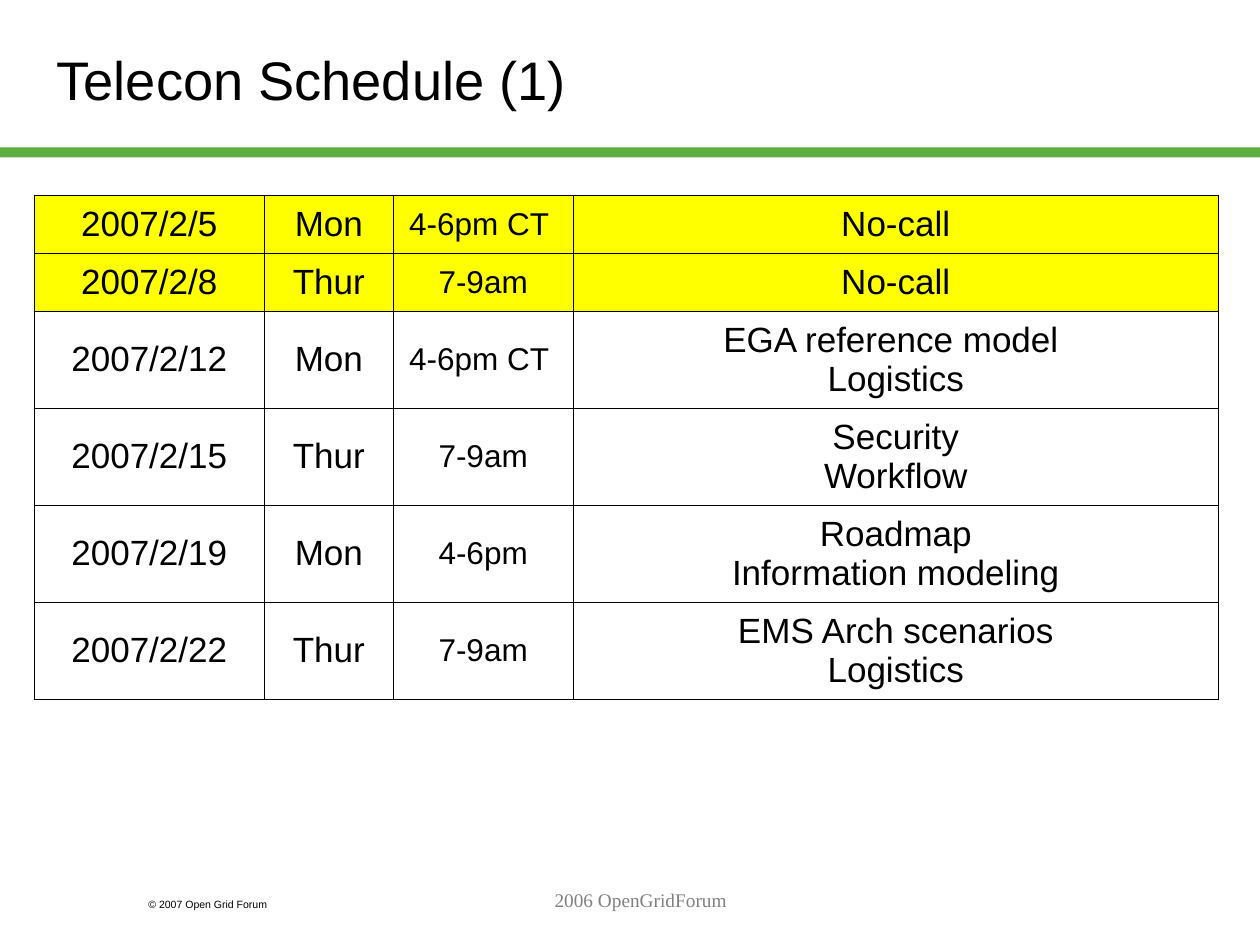
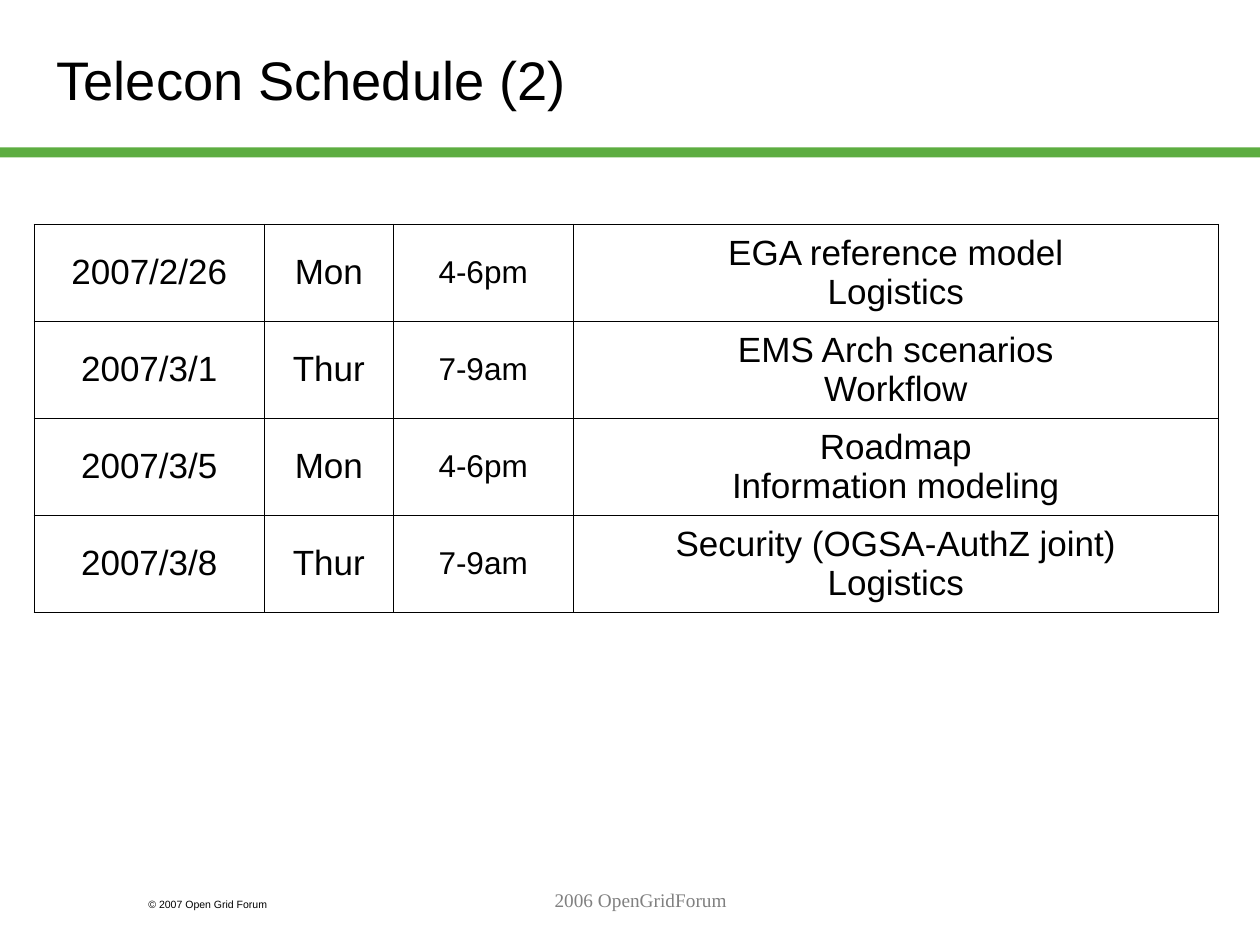
from dataclasses import dataclass

from lxml import etree
from pptx import Presentation
from pptx.dml.color import RGBColor
from pptx.enum.shapes import MSO_SHAPE
from pptx.enum.text import MSO_ANCHOR, MSO_AUTO_SIZE, PP_ALIGN
from pptx.oxml.ns import qn
from pptx.slide import Slide
from pptx.table import _Cell
from pptx.text.text import TextFrame
from pptx.util import Inches, Pt

RECTANGLE = MSO_SHAPE.RECTANGLE
LEFT, CENTER = PP_ALIGN.LEFT, PP_ALIGN.CENTER
TOP, MIDDLE = MSO_ANCHOR.TOP, MSO_ANCHOR.MIDDLE
NO_AUTOFIT = MSO_AUTO_SIZE.NONE


@dataclass(frozen=True)
class Theme:
    black: str = "000000"
    white: str = "FFFFFF"
    gray: str = "808080"
    green: str = "5DAD41"
    yellow: str = "FFFF00"
    sans: str = "Arial"
    serif: str = "Times New Roman"
    title_size: float = 31
    cell_size: float = 20
    time_size: float = 18
    footer_size: float = 11
    copyright_size: float = 6
    border_width: float = 0.45


@dataclass(frozen=True)
class Call:
    date: str
    day: str
    time: str
    topics: str
    cancelled: bool = False


@dataclass(frozen=True)
class Schedule:
    title: str
    table_top: float
    calls: tuple[Call, ...]


THEME = Theme()
TABLE_LEFT = 0.27
COLUMN_WIDTHS = (1.83, 1.02, 1.43, 5.12)
ONE_LINE_HEIGHT, TWO_LINE_HEIGHT = 0.46, 0.77

SCHEDULES = (
    Schedule("Telecon Schedule (1)", 1.55, (
        Call("2007/2/5", "Mon", "4-6pm CT ", "No-call", cancelled=True),
        Call("2007/2/8", "Thur", "7-9am", "No-call", cancelled=True),
        Call("2007/2/12", "Mon", "4-6pm CT ", "EGA reference model \nLogistics"),
        Call("2007/2/15", "Thur", "7-9am", "Security\nWorkflow"),
        Call("2007/2/19", "Mon", "4-6pm", "Roadmap\nInformation modeling"),
        Call("2007/2/22", "Thur", "7-9am", "EMS Arch scenarios\nLogistics"),
    )),
    Schedule("Telecon Schedule (2)", 1.78, (
        Call("2007/2/26", "Mon", "4-6pm", "EGA reference model\nLogistics"),
        Call("2007/3/1", "Thur", "7-9am", "EMS Arch scenarios\nWorkflow"),
        Call("2007/3/5", "Mon", "4-6pm", "Roadmap\nInformation modeling"),
        Call("2007/3/8", "Thur", "7-9am", "Security (OGSA-AuthZ joint)\nLogistics"),
    )),
)


def write_text(frame: TextFrame, text: str, *, size: float, font: str = THEME.sans,
               color: str = THEME.black, align: PP_ALIGN = LEFT) -> None:
    """Fill a text frame, one paragraph per line of text."""
    frame.word_wrap = True
    frame.text = text
    for paragraph in frame.paragraphs:
        paragraph.alignment = align
        paragraph.font.size = Pt(size)
        paragraph.font.name = font
        paragraph.font.color.rgb = RGBColor.from_string(color)


def add_label(slide: Slide, text: str, left: float, top: float, width: float,
              height: float, **text_format) -> None:
    box = slide.shapes.add_textbox(Inches(left), Inches(top), Inches(width), Inches(height))
    box.text_frame.vertical_anchor = TOP
    write_text(box.text_frame, text, **text_format)


def add_title(slide: Slide, text: str) -> None:
    title = slide.shapes.title
    title.left, title.top = Inches(0.35), Inches(0.17)
    title.width, title.height = Inches(8.9), Inches(0.91)
    title.text_frame.auto_size = NO_AUTOFIT
    title.text_frame.vertical_anchor = MIDDLE
    write_text(title.text_frame, text, size=THEME.title_size)


def add_frame(slide: Slide) -> None:
    """Draw the green band and the footers that every slide has."""
    band = slide.shapes.add_shape(RECTANGLE, Inches(0), Inches(1.17), Inches(10), Inches(0.08))
    band.shadow.inherit = False
    band.fill.solid()
    band.fill.fore_color.rgb = RGBColor.from_string(THEME.green)
    band.line.fill.background()
    add_label(slide, "© 2007 Open Grid Forum", 1.08, 7.08, 1.5, 0.2,
              size=THEME.copyright_size)
    add_label(slide, "2006 OpenGridForum", 2.17, 7, 5.83, 0.5, size=THEME.footer_size,
              font=THEME.serif, color=THEME.gray, align=CENTER)


def add_borders(cell: _Cell) -> None:
    properties = cell._tc.get_or_add_tcPr()
    for side in ("lnL", "lnR", "lnT", "lnB"):
        line = etree.SubElement(properties, qn(f"a:{side}"), w=str(Pt(THEME.border_width)))
        fill = etree.SubElement(line, qn("a:solidFill"))
        etree.SubElement(fill, qn("a:srgbClr"), val=THEME.black)


def add_schedule_table(slide: Slide, schedule: Schedule) -> None:
    heights = [TWO_LINE_HEIGHT if "\n" in call.topics else ONE_LINE_HEIGHT
               for call in schedule.calls]
    table = slide.shapes.add_table(
        len(heights), len(COLUMN_WIDTHS), Inches(TABLE_LEFT), Inches(schedule.table_top),
        Inches(sum(COLUMN_WIDTHS)), Inches(sum(heights))).table
    table.first_row = table.horz_banding = False
    for column, width in zip(table.columns, COLUMN_WIDTHS):
        column.width = Inches(width)
    for row, call, height in zip(table.rows, schedule.calls, heights):
        row.height = Inches(height)
        entries = ((call.date, THEME.cell_size), (call.day, THEME.cell_size),
                   (call.time, THEME.time_size), (call.topics, THEME.cell_size))
        for cell, (text, size) in zip(row.cells, entries):
            cell.vertical_anchor = MIDDLE
            add_borders(cell)  # borders come before the fill in the cell's XML
            cell.fill.solid()
            cell.fill.fore_color.rgb = RGBColor.from_string(
                THEME.yellow if call.cancelled else THEME.white)
            write_text(cell.text_frame, text, size=size, align=CENTER)


def main() -> None:
    presentation = Presentation()
    presentation.slide_width, presentation.slide_height = Inches(10), Inches(7.5)
    title_only = presentation.slide_layouts.get_by_name("Title Only")
    for schedule in SCHEDULES:
        slide = presentation.slides.add_slide(title_only)
        add_frame(slide)
        add_title(slide, schedule.title)
        add_schedule_table(slide, schedule)
    presentation.save("out.pptx")


if __name__ == "__main__":
    main()
